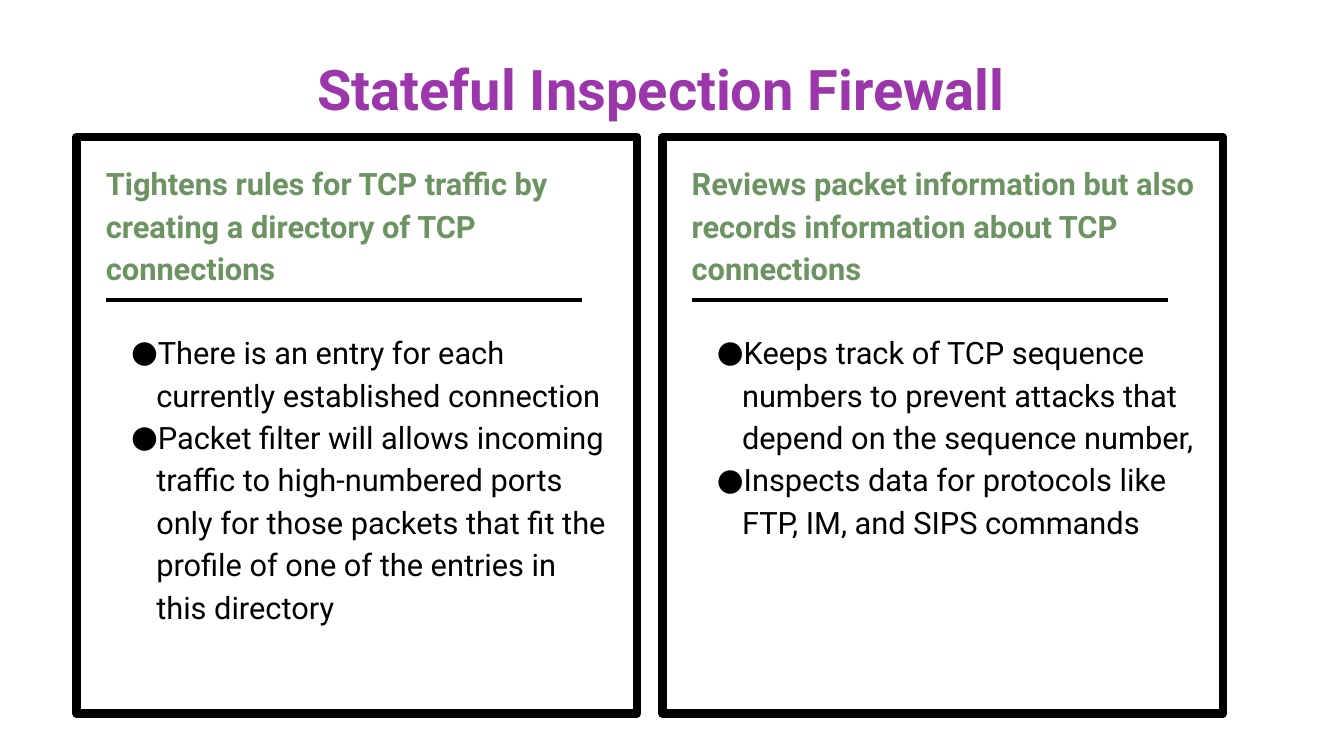
from dataclasses import dataclass

from lxml.etree import SubElement
from pptx import Presentation
from pptx.dml.color import RGBColor
from pptx.enum.shapes import MSO_CONNECTOR, MSO_SHAPE
from pptx.enum.text import MSO_ANCHOR, MSO_AUTO_SIZE, PP_ALIGN
from pptx.oxml.ns import qn
from pptx.util import Inches, Pt


@dataclass(frozen=True)
class Theme:
    font: str = "Roboto"
    title: RGBColor = RGBColor(0x9B, 0x37, 0xAA)
    heading: RGBColor = RGBColor(0x6B, 0x94, 0x62)
    ink: RGBColor = RGBColor(0, 0, 0)
    title_size: float = 40
    body_size: float = 22
    list_gap: float = 29.7
    frame_width: float = 6
    rule_width: float = 3


THEME = Theme()

PANELS = [
    (
        "Tightens rules for TCP traffic by creating a directory of TCP connections",
        [
            "There is an entry for each currently established connection",
            "Packet filter will allows incoming traffic to high-numbered ports only "
            "for those packets that fit the profile of one of the entries in this directory",
        ],
    ),
    (
        "Reviews packet information but also records information about TCP connections",
        [
            "Keeps track of TCP sequence numbers to prevent attacks that depend on "
            "the sequence number,",
            "Inspects data for protocols like FTP, IM, and SIPS commands",
        ],
    ),
]


def place(sp, left, top, width, height, anchor):
    sp.left, sp.top = Inches(left), Inches(top)
    sp.width, sp.height = Inches(width), Inches(height)
    tf = sp.text_frame
    tf.word_wrap = True
    tf.auto_size = MSO_AUTO_SIZE.NONE
    tf.vertical_anchor = anchor
    tf.margin_left = tf.margin_right = Inches(0.13)
    tf.margin_top = tf.margin_bottom = Inches(0.13)
    return tf


def style(p, size, color, bold, spacing, before=0):
    p.line_spacing = spacing
    p.space_before = Pt(before)
    p.space_after = Pt(0)
    for r in p.runs:
        r.font.name = THEME.font
        r.font.size = Pt(size)
        r.font.bold = bold
        r.font.color.rgb = color


def set_bullet(p, char=None):
    pPr = p._p.get_or_add_pPr()
    pPr.set("marL", str(Inches(0.5 if char else 0)))
    pPr.set("indent", str(Inches(-0.25 if char else 0)))
    if char is None:
        SubElement(pPr, qn("a:buNone"))
        return
    color = SubElement(pPr, qn("a:buClr"))
    SubElement(color, qn("a:srgbClr")).set("val", str(THEME.ink))
    SubElement(pPr, qn("a:buFont")).set("typeface", THEME.font)
    SubElement(pPr, qn("a:buChar")).set("char", char)


def add_title(s, text, left, top, width, height):
    tf = place(s.shapes.title, left, top, width, height, MSO_ANCHOR.MIDDLE)
    tf.text = text
    p = tf.paragraphs[0]
    p.alignment = PP_ALIGN.CENTER
    style(p, THEME.title_size, THEME.title, True, 1.5)


def add_panel(s, body, heading, items, left, top, width, height):
    frame = s.shapes.add_shape(
        MSO_SHAPE.RECTANGLE, Inches(left), Inches(top), Inches(width), Inches(height)
    )
    frame.shadow.inherit = False
    frame.fill.background()
    frame.line.color.rgb = THEME.ink
    frame.line.width = Pt(THEME.frame_width)

    tf = place(body, left + 0.16, top + 0.09, width - 0.31, height - 0.36, MSO_ANCHOR.TOP)
    tf.text = heading
    p = tf.paragraphs[0]
    set_bullet(p)
    style(p, THEME.body_size, THEME.heading, True, 1.15)
    for i, item in enumerate(items):
        p = tf.add_paragraph()
        p.text = item
        set_bullet(p, "●")
        before = THEME.list_gap if i == 0 else 0
        style(p, THEME.body_size, THEME.ink, False, 1.15, before)

    y = Inches(top + 1.62)
    rule = s.shapes.add_connector(
        MSO_CONNECTOR.STRAIGHT, Inches(left + 0.29), y, Inches(left + 5.01), y
    )
    rule.line.color.rgb = THEME.ink
    rule.line.width = Pt(THEME.rule_width)
    SubElement(rule._element.spPr, qn("a:effectLst"))


def main():
    prs = Presentation()
    prs.slide_width, prs.slide_height = Inches(13.33), Inches(7.5)
    s = prs.slides.add_slide(prs.slide_layouts[3])
    add_title(s, "Stateful Inspection Firewall", 0.89, 0.08, 11.33, 1.25)
    width, gap = 5.56, 0.25
    for i, (heading, items) in enumerate(PANELS):
        left = 0.76 + i * (width + gap)
        add_panel(s, s.placeholders[i + 1], heading, items, left, 1.36, width, 5.72)
    prs.save("out.pptx")


if __name__ == "__main__":
    main()
